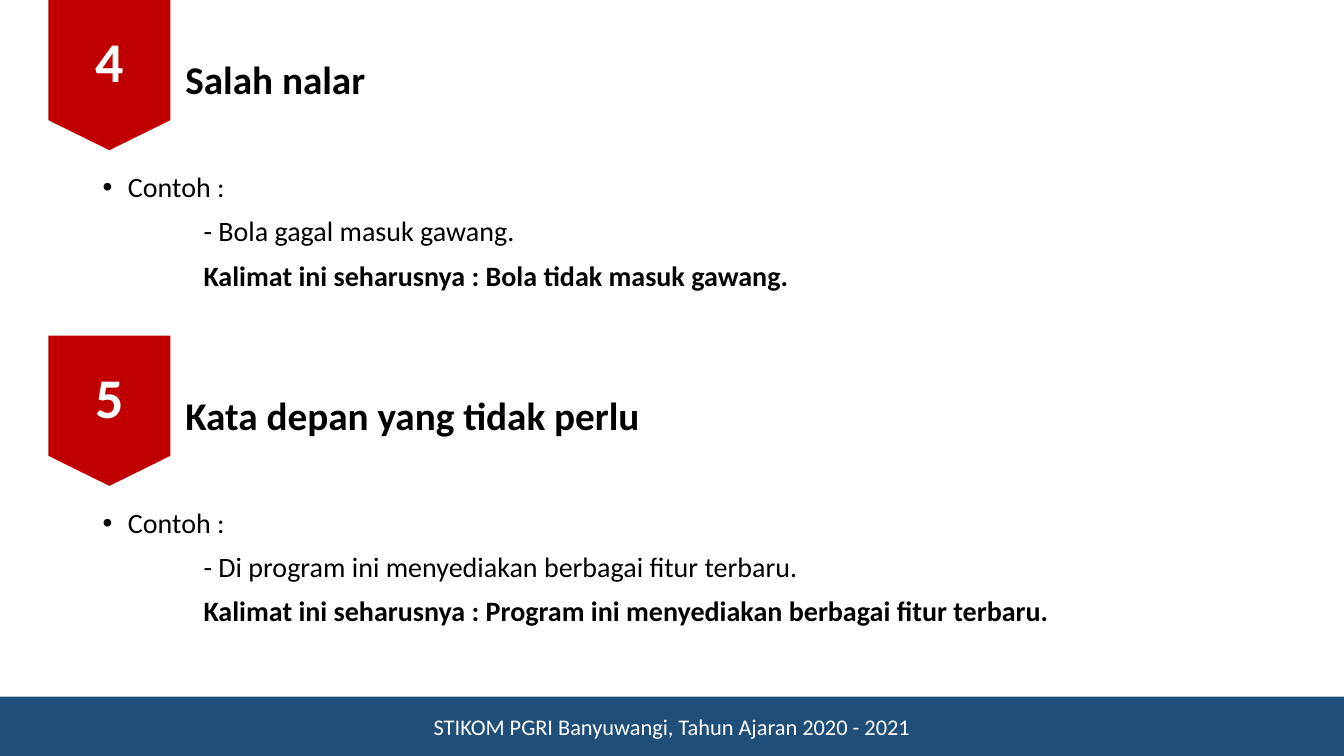
"""Build a slide with two numbered sentence errors, their examples and a footer."""
from lxml.etree import SubElement
from pptx import Presentation
from pptx.dml.color import RGBColor
from pptx.enum.shapes import MSO_SHAPE
from pptx.enum.text import MSO_ANCHOR, PP_ALIGN
from pptx.oxml.ns import qn
from pptx.util import Pt

PX = 9144
THEME = {
    "font": "Calibri",
    "black": RGBColor(0x00, 0x00, 0x00),
    "white": RGBColor(0xFF, 0xFF, 0xFF),
    "red": RGBColor(0xC0, 0x00, 0x00),
    "blue": RGBColor(0x1F, 0x4E, 0x79),
    "number": Pt(40),
    "heading": Pt(28),
    "body": Pt(20),
    "footer": Pt(16),
}
SECTIONS = [
    ("4", "Salah nalar", [
        "Contoh :",
        "- Bola gagal masuk gawang.",
        "Kalimat ini seharusnya : Bola tidak masuk gawang.",
    ]),
    ("5", "Kata depan yang tidak perlu", [
        "Contoh :",
        "- Di program ini menyediakan berbagai fitur terbaru.",
        "Kalimat ini seharusnya : Program ini menyediakan berbagai fitur terbaru.",
    ]),
]
SECTION_PITCH = 333


def write(paragraph, text, size, color="black", bold=False, **layout):
    run = paragraph.add_run()
    run.text = text
    run.font.color.rgb = THEME[color]
    styles = {"name": THEME["font"], "size": THEME[size], "bold": bold}
    for target, values in ((run.font, styles), (paragraph, layout)):
        for name, value in values.items():
            setattr(target, name, value)


def add_label(kind, box, fill, text, size, bold):
    shape = slide.shapes.add_shape(kind, *(PX * length for length in box))
    shape.shadow.inherit = False
    shape.fill.solid()
    shape.fill.fore_color.rgb = THEME[fill]
    shape.line.fill.background()
    shape.text_frame.vertical_anchor = MSO_ANCHOR.MIDDLE
    write(shape.text_frame.paragraphs[0], text, size, "white", bold,
          alignment=PP_ALIGN.CENTER)


presentation = Presentation()
presentation.slide_width = 1333 * PX
presentation.slide_height = 750 * PX
slide = presentation.slides.add_slide(presentation.slide_layouts[6])

add_label(MSO_SHAPE.RECTANGLE, (0, 691, 1333, 59), "blue",
          "STIKOM PGRI Banyuwangi, Tahun Ajaran 2020 - 2021", "footer", False)

for index, (number, heading, examples) in enumerate(SECTIONS):
    top = index * SECTION_PITCH
    add_label(MSO_SHAPE.FLOWCHART_OFFPAGE_CONNECTOR, (48, top, 121, 149), "red",
              number, "number", True)

    title = slide.shapes.add_textbox(174 * PX, (top + 9) * PX, 1150 * PX, 145 * PX)
    title.text_frame.word_wrap = True
    title.text_frame.vertical_anchor = MSO_ANCHOR.MIDDLE
    write(title.text_frame.paragraphs[0], heading, "heading", bold=True,
          line_spacing=0.9)

    body = slide.shapes.add_textbox(92 * PX, (top + 167) * PX, 1232 * PX, 155 * PX)
    body.text_frame.word_wrap = True
    for line, example in enumerate(examples):
        first = line == 0
        paragraph = body.text_frame.paragraphs[0] if first else body.text_frame.add_paragraph()
        properties = paragraph._p.get_or_add_pPr()
        properties.set("marL", str((25 if first else 100) * PX))
        properties.set("indent", str(-25 * PX if first else 0))
        if first:
            SubElement(properties, qn("a:buFont"), typeface="Arial")
            SubElement(properties, qn("a:buChar"), char="•")
        write(paragraph, example, "body", bold=line == 2, line_spacing=0.9,
              space_before=Pt(0 if first else 10))

presentation.save("out.pptx")
